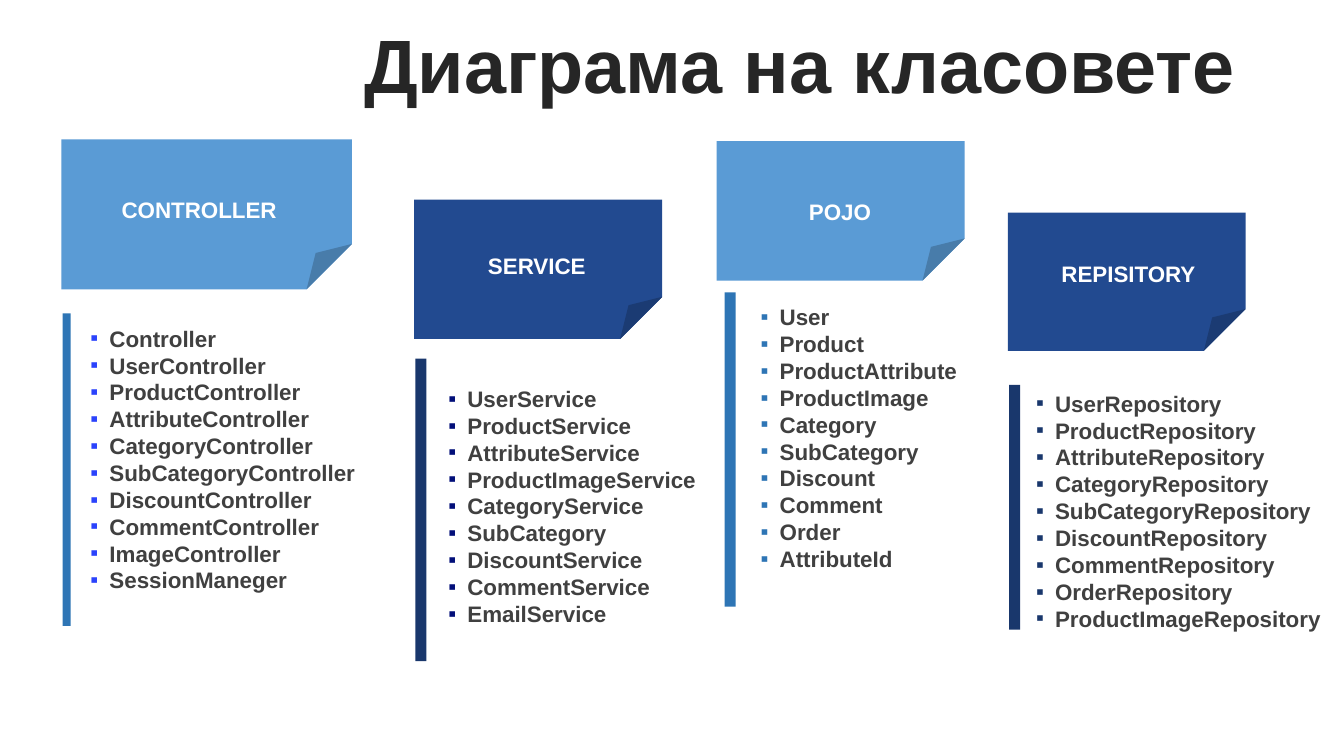
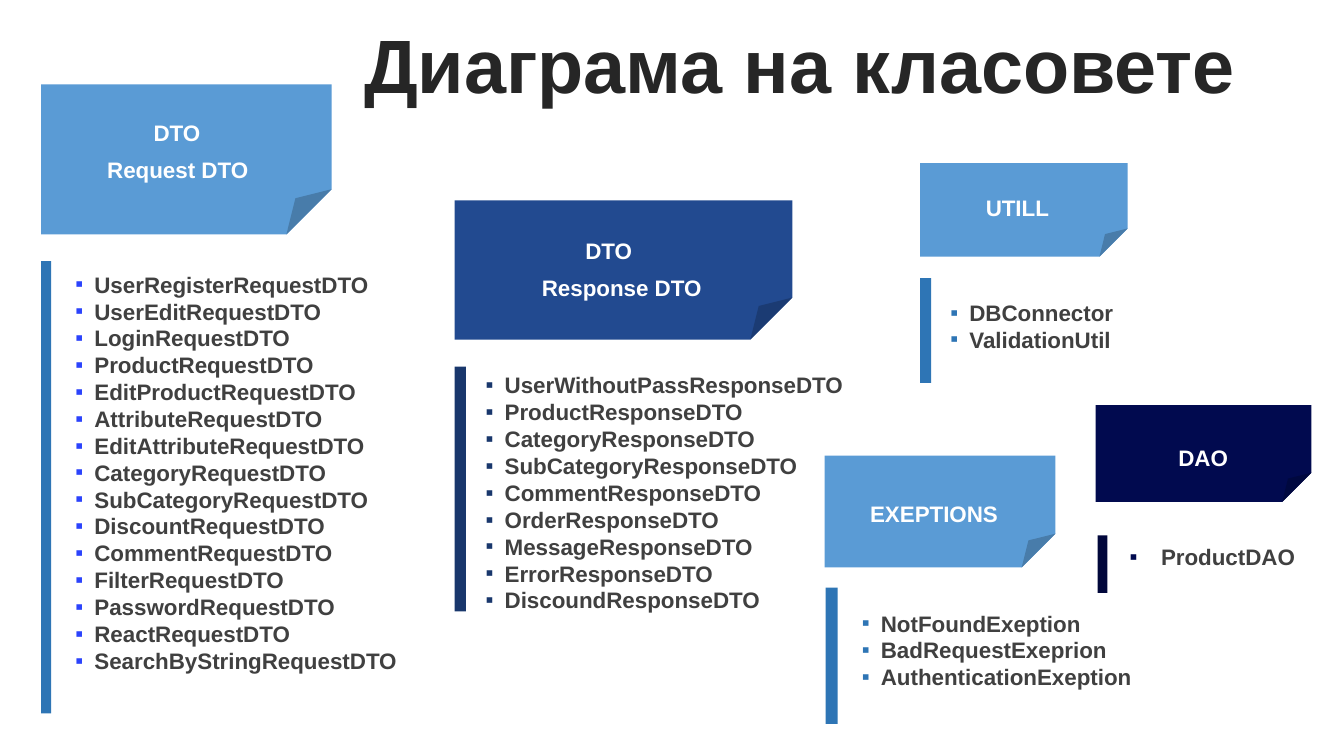
from dataclasses import dataclass

from lxml import etree
from pptx import Presentation
from pptx.dml.color import RGBColor
from pptx.enum import shapes, text
from pptx.oxml import ns
from pptx.util import Cm, Pt

FONT = "Arial"
WHITE = RGBColor(0xFF, 0xFF, 0xFF)
TITLE_INK = RGBColor(0x26, 0x26, 0x26)
LIST_INK = RGBColor(0x40, 0x40, 0x40)
SKY = RGBColor(0x5A, 0x9B, 0xD5)
ROYAL = RGBColor(0x22, 0x4A, 0x90)
MIDNIGHT = RGBColor(0x01, 0x0A, 0x4F)
STEEL = RGBColor(0x2E, 0x75, 0xB5)
NAVY = RGBColor(0x19, 0x37, 0x6C)
INK = RGBColor(0x01, 0x07, 0x3B)
ELECTRIC = RGBColor(0x2B, 0x43, 0xFC)
INDIGO = RGBColor(0x02, 0x0F, 0x79)

TITLE = "Диаграма на класовете"
TITLE_BOX = (8.28, 0.74, 23.75, 2.01)
LABEL_SIZE = (5.16, 0.94)
LINE_HEIGHT = 0.68
FOLD = 30200


@dataclass
class ClassGroup:
    card: tuple
    colors: tuple
    labels: list
    bar: tuple
    names_at: tuple
    names: str
    indent: float = 0.48


CLASS_GROUPS = [
    ClassGroup(
        (1.55, 3.51, 7.32, 3.78), (SKY, STEEL, ELECTRIC),
        [("CONTROLLER", 0.89, 1.32)],
        (0.03, 4.39, 0.2, 7.87), (0.48, 4.55, 7.24),
        "Controller UserController ProductController AttributeController "
        "CategoryController SubCategoryController DiscountController "
        "CommentController ImageController SessionManeger"),
    ClassGroup(
        (10.44, 5.03, 6.25, 3.51), (ROYAL, NAVY, INDIGO),
        [("SERVICE", 0.51, 1.19)],
        (0.03, 4.01, 0.28, 7.62), (0.61, 4.55, 6.88),
        "UserService ProductService AttributeService ProductImageService "
        "CategoryService SubCategory DiscountService CommentService "
        "EmailService"),
    ClassGroup(
        (18.06, 3.56, 6.25, 3.51), (SKY, STEEL, STEEL),
        [("POJO", 0.53, 1.32)],
        (0.2, 3.81, 0.28, 7.92), (0.86, 3.96, 5.56),
        "User Product ProductAttribute ProductImage Category SubCategory "
        "Discount Comment Order AttributeId"),
    ClassGroup(
        (25.4, 5.36, 5.99, 3.48), (ROYAL, NAVY, NAVY),
        [("REPISITORY", 0.46, 1.07)],
        (0.03, 4.34, 0.28, 6.17), (0.46, 4.34, 7.92),
        "UserRepository ProductRepository AttributeRepository "
        "CategoryRepository SubCategoryRepository DiscountRepository "
        "CommentRepository OrderRepository ProductImageRepository"),
]

DTO_GROUPS = [
    ClassGroup(
        (1.04, 2.13, 7.32, 3.78), (SKY, STEEL, ELECTRIC),
        [("DTO", 0.84, 0.76), ("Request DTO", 0.86, 1.68)],
        (0, 4.45, 0.25, 11.4), (0.61, 4.57, 8.69),
        "UserRegisterRequestDTO UserEditRequestDTO LoginRequestDTO "
        "ProductRequestDTO EditProductRequestDTO AttributeRequestDTO "
        "EditAttributeRequestDTO CategoryRequestDTO SubCategoryRequestDTO "
        "DiscountRequestDTO CommentRequestDTO FilterRequestDTO "
        "PasswordRequestDTO ReactRequestDTO SearchByStringRequestDTO"),
    ClassGroup(
        (11.46, 5.05, 8.51, 3.51), (ROYAL, NAVY, NAVY),
        [("DTO", 1.3, 0.79), ("Response DTO", 1.63, 1.73)],
        (0, 4.19, 0.28, 6.17), (0.53, 4.19, 9.53),
        "UserWithoutPassResponseDTO ProductResponseDTO CategoryResponseDTO "
        "SubCategoryResponseDTO CommentResponseDTO OrderResponseDTO "
        "MessageResponseDTO ErrorResponseDTO DiscoundResponseDTO"),
    ClassGroup(
        (23.19, 4.11, 5.23, 2.36), (SKY, STEEL, STEEL),
        [("UTILL", -0.13, 0.66)],
        (0, 2.9, 0.28, 2.64), (0.51, 3.3, 5.56),
        "DBConnector ValidationUtil"),
    ClassGroup(
        (20.78, 11.48, 5.82, 2.82), (SKY, STEEL, STEEL),
        [("EXEPTIONS", 0.18, 0.99)],
        (0.03, 3.33, 0.3, 3.43), (0.69, 3.76, 7.57),
        "NotFoundExeption BadRequestExeprion AuthenticationExeption"),
    ClassGroup(
        (27.61, 10.21, 5.44, 2.44), (MIDNIGHT, INK, MIDNIGHT),
        [("DAO", 0.13, 0.86)],
        (0.05, 3.28, 0.25, 1.45), (0.61, 3.35, 4.83),
        "ProductDAO", 0.79),
]


def add_block(s, kind, box, color):
    sp = s.shapes.add_shape(kind, *map(Cm, box))
    sp.shadow.inherit = False
    sp.fill.solid()
    sp.fill.fore_color.rgb = color
    sp.line.fill.background()
    return sp


def set_fold(sp):
    geom = sp._element.spPr.find(ns.qn("a:prstGeom"))
    guides = geom.find(ns.qn("a:avLst"))
    if guides is None:
        guides = etree.SubElement(geom, ns.qn("a:avLst"))
    etree.SubElement(guides, ns.qn("a:gd"), name="adj", fmla=f"val {FOLD}")


def add_text_frame(s, box):
    tf = s.shapes.add_textbox(*map(Cm, box)).text_frame
    tf.word_wrap = True
    return tf


def add_run(p, words, size, color):
    r = p.add_run()
    r.text = words
    r.font.name = FONT
    r.font.size = Pt(size)
    r.font.bold = True
    r.font.color.rgb = color


def add_bullet(p, color, indent):
    pPr = p._p.get_or_add_pPr()
    pPr.set("marL", str(Cm(indent)))
    pPr.set("indent", str(-Cm(indent)))
    clr = etree.SubElement(pPr, ns.qn("a:buClr"))
    etree.SubElement(clr, ns.qn("a:srgbClr"), val=str(color))
    etree.SubElement(pPr, ns.qn("a:buFont"), typeface=FONT)
    etree.SubElement(pPr, ns.qn("a:buChar"), char="▪")


def add_title(s):
    tf = add_text_frame(s, TITLE_BOX)
    tf.vertical_anchor = text.MSO_ANCHOR.MIDDLE
    p = tf.paragraphs[0]
    p.alignment = text.PP_ALIGN.CENTER
    p.line_spacing = 0.9
    p.space_before = Pt(10)
    add_run(p, TITLE, 54, TITLE_INK)


def add_class_group(s, group):
    x, y, _, _ = group.card
    card_color, bar_color, bullet_color = group.colors
    card = add_block(s, shapes.MSO_SHAPE.FOLDED_CORNER, group.card, card_color)
    set_fold(card)
    for label, dx, dy in group.labels:
        p = add_text_frame(s, (x + dx, y + dy, *LABEL_SIZE)).paragraphs[0]
        p.alignment = text.PP_ALIGN.CENTER
        add_run(p, label, 16, WHITE)

    dx, dy, w, h = group.bar
    add_block(s, shapes.MSO_SHAPE.RECTANGLE, (x + dx, y + dy, w, h), bar_color)

    dx, dy, w = group.names_at
    names = group.names.split()
    tf = add_text_frame(s, (x + dx, y + dy, w, 0.25 + LINE_HEIGHT * len(names)))
    for i, name in enumerate(names):
        p = tf.add_paragraph() if i else tf.paragraphs[0]
        add_bullet(p, bullet_color, group.indent)
        add_run(p, name, 16, LIST_INK)


def add_diagram_slide(prs, groups):
    s = prs.slides.add_slide(prs.slide_layouts[6])
    add_title(s)
    for group in groups:
        add_class_group(s, group)


def main():
    prs = Presentation()
    prs.slide_width, prs.slide_height = Cm(33.87), Cm(19.05)
    for groups in (CLASS_GROUPS, DTO_GROUPS):
        add_diagram_slide(prs, groups)
    prs.save("out.pptx")


if __name__ == "__main__":
    main()
